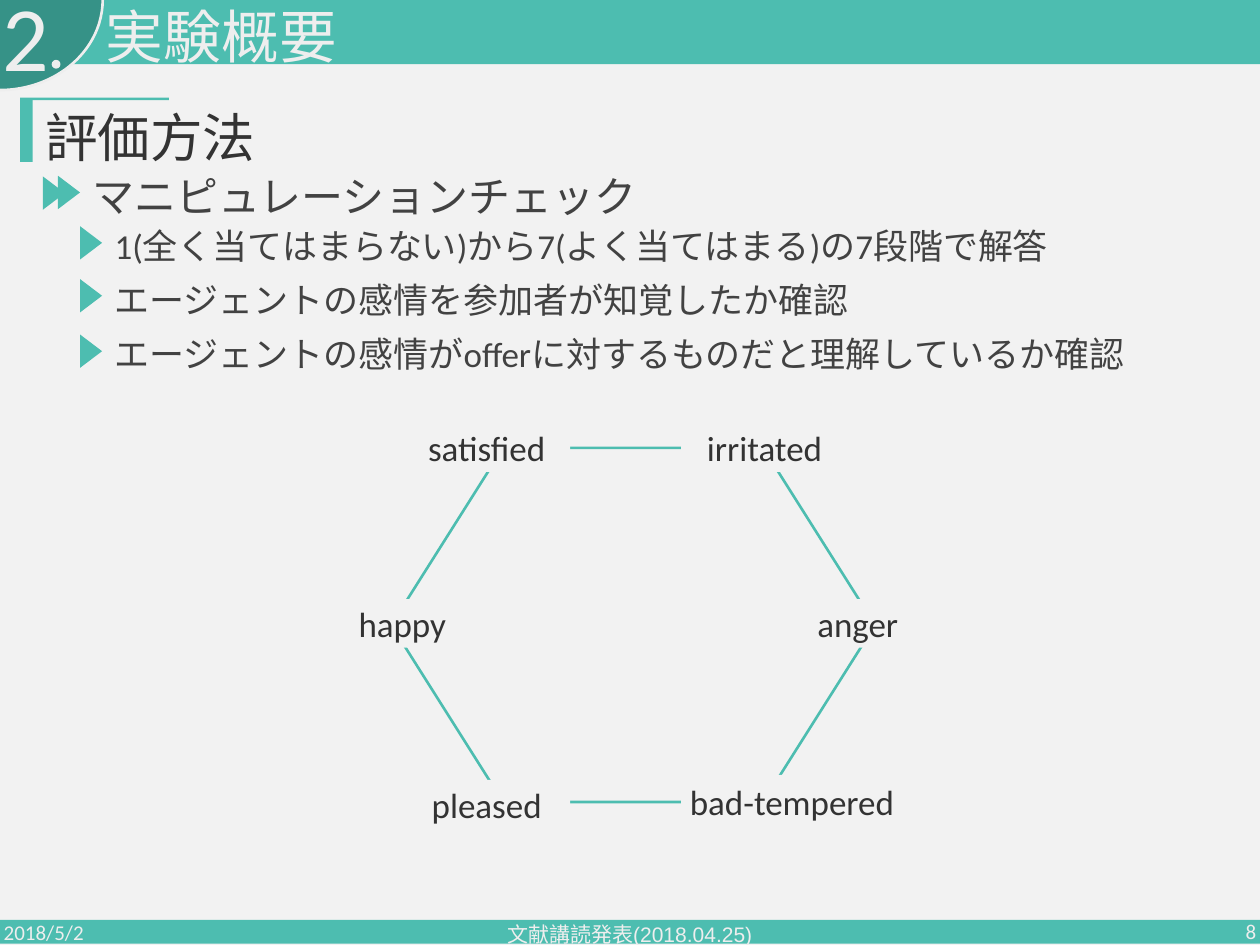
from pptx import Presentation
from pptx.dml.color import RGBColor
from pptx.enum.shapes import MSO_SHAPE as Shape
from pptx.enum.text import MSO_ANCHOR as Anchor, MSO_AUTO_SIZE as AutoSize, PP_ALIGN as Align
from pptx.oxml.xmlchemy import OxmlElement
from pptx.util import Inches, Pt

COLORS = {
    "teal": "4DBDB0", "deep": "369287", "paper": "F2F2F2",
    "light": "EEEEEE", "ink": "333333", "body": "424242",
}


def rgb(name):
    """Return the named colour."""
    return RGBColor.from_string(COLORS[name])


class SlideBuilder:
    """Holds the style and the current slide."""

    def __init__(self, slide, font="Calibri"):
        """Keep the slide and paint its background."""
        self.slide, self.font = slide, font
        slide.background.fill.solid()
        slide.background.fill.fore_color.rgb = rgb("paper")

    def format_paragraph(self, paragraph, size, color, font=None, **settings):
        """Apply font and paragraph settings."""
        for name, value in settings.items():
            setattr(paragraph, name, value)
        for name, value in {"size": Pt(size), "name": font or self.font}.items():
            setattr(paragraph.font, name, value)
        paragraph.font.color.rgb = rgb(color)

    def format_frame(self, frame, anchor):
        """Apply the common text frame settings."""
        settings = {"word_wrap": True, "auto_size": AutoSize.NONE, "vertical_anchor": anchor}
        for name, value in settings.items():
            setattr(frame, name, value)

    def shape(self, kind, box, fill="teal", line=None, rotation=0):
        """Draw a filled preset shape."""
        drawn = self.slide.shapes.add_shape(kind, *map(Inches, box))
        drawn.shadow.inherit = False
        drawn.rotation = rotation
        drawn.fill.solid()
        drawn.fill.fore_color.rgb = rgb(fill)
        if line:
            drawn.line.color.rgb = rgb(line)
            drawn.line.width = Pt(3)
        else:
            drawn.line.fill.background()
        return drawn

    def marker(self, left, top):
        """Draw a right-pointing list marker."""
        self.shape(Shape.ISOSCELES_TRIANGLE, (left, top, 0.53, 0.35), rotation=90)

    def label(self, text, box):
        """Draw an emotion word that interrupts the outline."""
        frame = self.shape(Shape.RECTANGLE, box, "paper").text_frame
        self.format_frame(frame, Anchor.MIDDLE)
        frame.text = text
        self.format_paragraph(frame.paragraphs[0], 40, "ink", alignment=Align.CENTER)

    def text(self, text, box, size, color, anchor=Anchor.TOP, **settings):
        """Add a one-paragraph text box."""
        frame = self.slide.shapes.add_textbox(*map(Inches, box)).text_frame
        self.format_frame(frame, anchor)
        frame.text = text
        self.format_paragraph(frame.paragraphs[0], size, color, **settings)

    def placeholder(self, index, box):
        """Move a placeholder to the front and return its text frame."""
        holder = self.slide.placeholders[index]
        for name, value in zip(("left", "top", "width", "height"), box):
            setattr(holder, name, Inches(value))
        self.slide.shapes._spTree.append(holder._element)
        self.format_frame(holder.text_frame, Anchor.TOP)
        return holder.text_frame

    def title(self, text, box):
        """Fill the title placeholder."""
        frame = self.placeholder(0, box)
        frame.text = text
        self.format_paragraph(frame.paragraphs[0], 66, "light",
                              alignment=Align.LEFT, line_spacing=0.9)

    def outline(self, items, box):
        """Fill the body placeholder with (text, size, indent, line height) items."""
        frame = self.placeholder(1, box)
        frame.text = "\n".join(item[0] for item in items)
        for paragraph, (_, size, indent, height) in zip(frame.paragraphs, items):
            properties = paragraph._p.get_or_add_pPr()
            properties.set("marL", str(Inches(indent)))
            properties.set("indent", "0")
            properties.append(OxmlElement("a:buNone"))
            self.format_paragraph(paragraph, size, "body", line_spacing=Pt(height),
                                  space_before=Pt(0), space_after=Pt(0))


def main():
    """Build the evaluation method slide."""
    deck = Presentation()
    deck.slide_width, deck.slide_height = Inches(20), Inches(15)
    page = SlideBuilder(deck.slides.add_slide(deck.slide_layouts[1]))

    page.shape(Shape.RECTANGLE, (0, 14.6, 20, 0.38))
    page.shape(Shape.RECTANGLE, (0, 0, 20, 1.02))
    page.shape(Shape.ARC, (-1.44, -1.64, 2.87, 3.27), "deep", "light", 90)
    page.shape(Shape.OVAL, (0.82, 0.95, 0.14, 0.14), "light")

    footer = {"size": 24, "color": "light", "anchor": Anchor.MIDDLE}
    page.text("2018/5/2", (-0.04, 14.39, 4.5, 0.8), **footer)
    page.text("文献講読発表(2018.04.25)", (6.62, 14.42, 6.75, 0.8),
              font="Arial", alignment=Align.CENTER, **footer)
    page.text("8", (15.54, 14.38, 4.5, 0.8), alignment=Align.RIGHT, **footer)

    page.text("2", (-0.06, -0.17, 7.05, 1.55), 105, "light", line_spacing=0.9)
    page.title("実験概要", (1.58, 0.08, 14.57, 0.87))

    page.shape(Shape.RECTANGLE, (0.32, 1.58, 0.2, 0.99))
    page.shape(Shape.RECTANGLE, (0.32, 1.55, 2.36, 0.04))
    page.text("評価方法", (0.62, 1.73, 18.92, 1.53), 60, "ink", line_spacing=0.9)

    for left, top in ((0.59, 2.89), (0.83, 2.88), (1.18, 3.68), (1.18, 4.52), (1.18, 5.4)):
        page.marker(left, top)
    page.outline([
        ("マニピュレーションチェック", 48, 0, 60),
        ("1(全く当てはまらない)から7(よく当てはまる)の7段階で解答", 40, 0.35, 52),
        ("エージェントの感情を参加者が知覚したか確認", 40, 0.35, 62),
        ("エージェントの感情がofferに対するものだと理解しているか確認", 40, 0.35, 62),
    ], (1.37, 2.62, 18.19, 3.59))

    emotion_ring = page.shape(Shape.HEXAGON, (6.21, 7.11, 7.68, 5.62), "paper", "teal")
    emotion_ring.adjustments[0] = 0.316
    emotions = {
        "happy": (5.06, 9.51), "anger": (12.29, 9.51), "satisfied": (6.4, 6.72),
        "pleased": (6.4, 12.38), "irritated": (10.81, 6.72),
    }
    for emotion, corner in emotions.items():
        page.label(emotion, (*corner, 2.65, 0.77))
    page.label("bad-tempered", (10.81, 12.3, 3.52, 0.83))

    deck.save("out.pptx")


if __name__ == "__main__":
    main()
